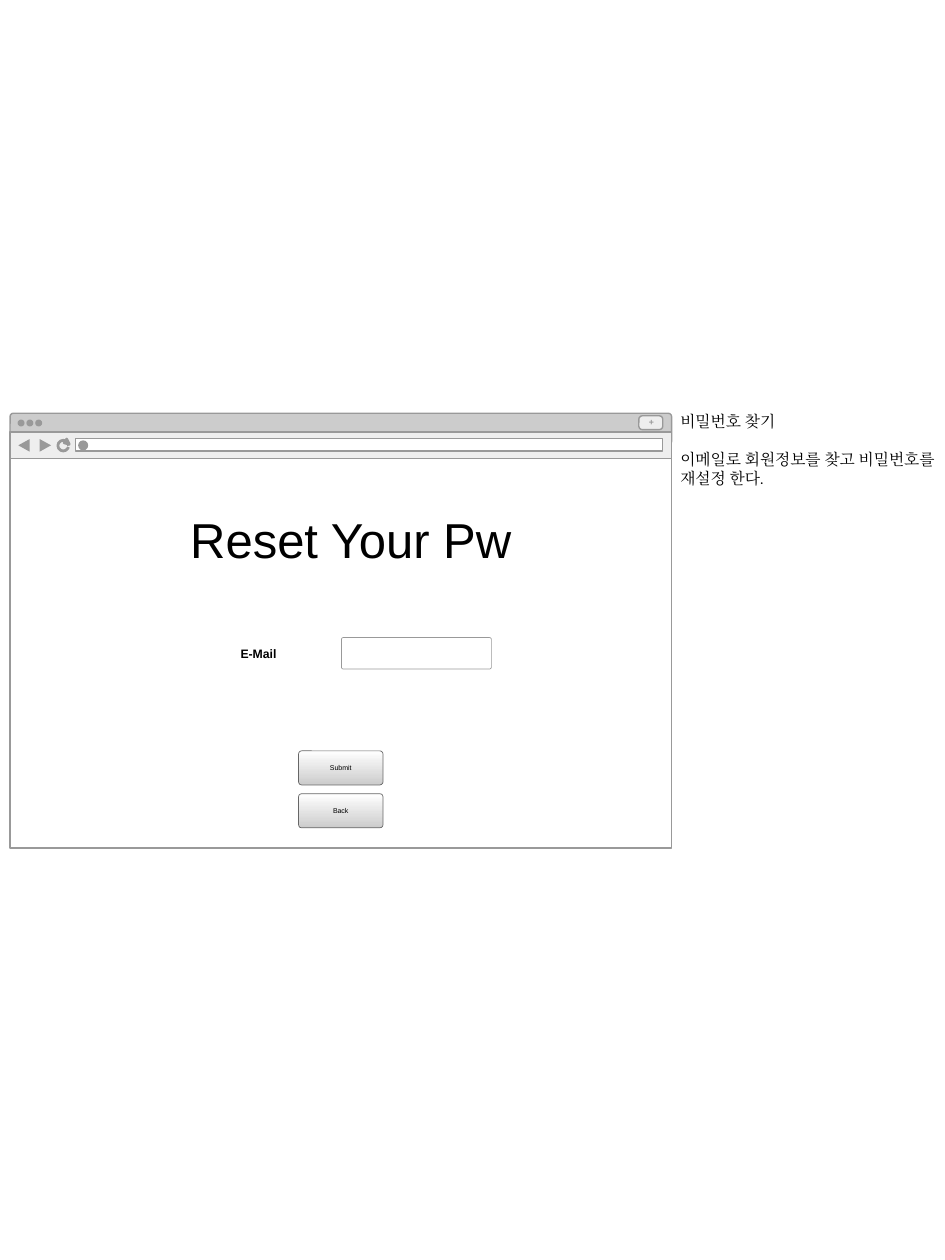
from pptx import Presentation
from pptx.dml.color import RGBColor
from pptx.enum.shapes import MSO_SHAPE
from pptx.enum.text import MSO_ANCHOR, PP_ALIGN
from pptx.oxml.ns import qn
from pptx.util import Inches, Pt

RECT = MSO_SHAPE.RECTANGLE
ROUND = MSO_SHAPE.ROUNDED_RECTANGLE
OVAL = MSO_SHAPE.OVAL
ARC = MSO_SHAPE.ARC
LEFT, CENTER = PP_ALIGN.LEFT, PP_ALIGN.CENTER
TOP, MIDDLE = MSO_ANCHOR.TOP, MSO_ANCHOR.MIDDLE

BLACK = RGBColor(0x00, 0x00, 0x00)
WHITE = RGBColor(0xFF, 0xFF, 0xFF)
PALE = RGBColor(0xEE, 0xEE, 0xEE)
SILVER = RGBColor(0xCC, 0xCC, 0xCC)
GRAY = RGBColor(0x99, 0x99, 0x99)
DARK = RGBColor(0x66, 0x66, 0x66)

SANS, SERIF = "Arial", "TeX Gyre Pagella"


def paint(shape, fill, line, width):
    shape.shadow.inherit = False
    if fill is None:
        shape.fill.background()
    else:
        shape.fill.solid()
        shape.fill.fore_color.rgb = fill
    if line is None:
        shape.line.fill.background()
    else:
        shape.line.color.rgb = line
        shape.line.width = Pt(width)
    return shape


def add_box(slide, kind, x, y, w, h, fill=None, line=None, width=0.79, round_by=None):
    shape = slide.shapes.add_shape(kind, Inches(x), Inches(y), Inches(w), Inches(h))
    if round_by is not None:
        shape.adjustments[0] = round_by
    return paint(shape, fill, line, width)


def add_poly(slide, points, fill, line=None, width=0.79):
    spots = [(Inches(x), Inches(y)) for x, y in points]
    pen = slide.shapes.build_freeform(*spots[0])
    pen.add_line_segments(spots[1:], close=True)
    return paint(pen.convert_to_shape(), fill, line, width)


def write(shape, lines, size, font=SANS, color=BLACK, bold=False,
          align=LEFT, anchor=TOP, gap=0):
    frame = shape.text_frame
    frame.word_wrap = True
    frame.vertical_anchor = anchor
    frame.margin_left = frame.margin_right = 0
    frame.margin_top = frame.margin_bottom = 0
    for i, line in enumerate(lines):
        para = frame.add_paragraph() if i else frame.paragraphs[0]
        para.alignment = align
        if i:
            para.space_before = Pt(gap)
        run = para.add_run()
        run.text = line
        run.font.name = font
        run.font.size = Pt(size)
        run.font.bold = bold
        run.font.color.rgb = color
        # Hangul takes the East Asian typeface
        asian = run.font._element.makeelement(qn("a:ea"), {"typeface": font})
        run.font._element.find(qn("a:latin")).addnext(asian)


def add_text(slide, x, y, w, h, lines, size, **style):
    box = slide.shapes.add_textbox(Inches(x), Inches(y), Inches(w), Inches(h))
    write(box, lines, size, **style)


def add_button(slide, x, y, w, h, label):
    shape = add_box(slide, ROUND, x, y, w, h, WHITE, DARK, 0.4, 0.09)
    shape.fill.gradient()
    shape.fill.gradient_angle = 270
    for stop, color, place in zip(shape.fill.gradient_stops, (WHITE, SILVER), (0, 1)):
        stop.color.rgb = color
        stop.position = place
    write(shape, [label], 4, align=CENTER, anchor=MIDDLE)


def add_window(slide, x, y, w, h):
    # Title bar and page
    add_box(slide, ROUND, x, y, w, 0.25, SILVER, GRAY, round_by=0.1)
    add_box(slide, RECT, x, y + 0.36, w, h - 0.36, WHITE, GRAY)

    # New tab button
    add_box(slide, ROUND, x + w - 0.26, y + 0.02, 0.19, 0.11, PALE, GRAY, round_by=0.25)
    add_text(slide, x + w - 0.25, y + 0.03, 0.18, 0.08, ["+"], 5,
             color=GRAY, bold=True, align=CENTER, anchor=MIDDLE)

    # Window dots
    for i in range(3):
        add_box(slide, OVAL, x + 0.06 + 0.07 * i, y + 0.05, 0.055, 0.055, GRAY)

    # Toolbar with back and forward arrows
    add_box(slide, RECT, x, y + 0.15, w, 0.21, PALE, GRAY)
    mid = y + 0.255
    for tip, base in ((0.065, 0.155), (0.325, 0.235)):
        add_poly(slide, [(x + tip, mid), (x + base, mid - 0.05), (x + base, mid + 0.05)], GRAY)

    # Address field
    add_box(slide, RECT, x + 0.52, y + 0.2, w - 0.59, 0.1, WHITE, GRAY)
    add_box(slide, OVAL, x + 0.54, mid - 0.04, 0.08, 0.08, GRAY)

    # Reload icon
    ring = add_box(slide, ARC, x + 0.38, mid - 0.04, 0.085, 0.085, None, GRAY, 1.59)
    for i, angle in enumerate((15, -10)):
        ring.adjustments[i] = angle * 0.6  # 60000 units a degree
    add_poly(slide, [(x + 0.47, mid - 0.01), (x + 0.43, mid - 0.02), (x + 0.45, mid - 0.05)],
             GRAY, GRAY, 1.59)


def add_form(slide, x, y):
    add_text(slide, x + 1.43, y + 0.4, 2.75, 0.47, ["Reset Your Pw"], 28)

    # Buttons
    for i, label in enumerate(("Submit", "Back")):
        add_button(slide, x + 2.29, y + 2.32 + 0.34 * i, 0.67, 0.27, label)

    # E-mail field
    add_text(slide, x + 1.83, y + 1.49, 0.57, 0.12, ["E-Mail"], 7, bold=True, anchor=MIDDLE)
    add_box(slide, ROUND, x + 2.63, y + 1.42, 1.19, 0.25, WHITE, GRAY, 0.4, 0.06)


def add_notes(slide, x, y, w, h):
    lines = ["비밀번호 찾기", "이메일로 회원정보를 찾고 비밀번호를 재설정 한다."]
    add_text(slide, x, y, w, h, lines, 9, font=SERIF, gap=11)


def main():
    deck = Presentation()
    deck.slide_width, deck.slide_height = Inches(7.5), Inches(10)
    slide = deck.slides.add_slide(deck.slide_layouts[6])
    add_window(slide, 0.08, 3.28, 5.25, 3.45)
    add_form(slide, 0.08, 3.64)
    add_notes(slide, 5.4, 3.27, 2.02, 0.6)
    deck.save("out.pptx")


if __name__ == "__main__":
    main()
